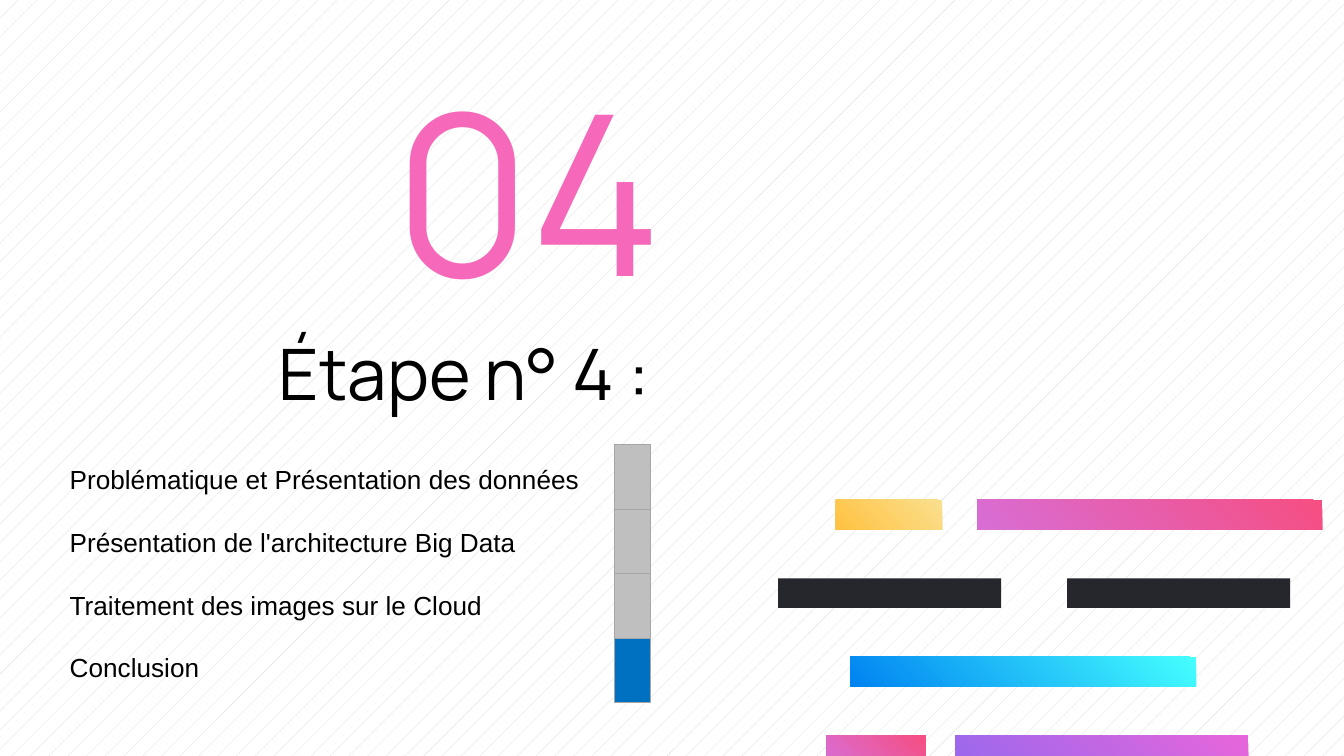
from dataclasses import dataclass

from pptx import Presentation
from pptx.dml.color import RGBColor
from pptx.enum.dml import MSO_PATTERN
from pptx.enum.shapes import MSO_SHAPE
from pptx.enum.text import MSO_ANCHOR, PP_ALIGN
from pptx.util import Inches, Pt

RECT = MSO_SHAPE.RECTANGLE
DOTS = MSO_PATTERN.PERCENT_5
TOP, BOTTOM = MSO_ANCHOR.TOP, MSO_ANCHOR.BOTTOM
LEFT, RIGHT = PP_ALIGN.LEFT, PP_ALIGN.RIGHT


@dataclass(frozen=True)
class Theme:
    paper: str = "FFFFFF"
    pattern: str = "D9D9D9"
    text: str = "000000"
    number: str = "F668B9"
    dark: tuple = ("25272D",)
    pink: tuple = ("F64E81", "D86ED5")
    cyan: tuple = ("45FFFF", "0083F1")
    gold: tuple = ("FAE08F", "FFC241")
    violet: tuple = ("E766DB", "9B68ED")
    step: tuple = ("BFBFBF",)
    active: tuple = ("0070C0",)
    edge: str = "A6A6A6"
    display: str = "Manrope"
    body: str = "Arial"
    number_size: int = 120
    title_size: int = 38
    body_size: int = 14


def add_bar(shapes, box, colors):
    sp = shapes.add_shape(RECT, *map(Inches, box))
    sp.shadow.inherit = False
    sp.line.fill.background()
    if len(colors) == 1:
        sp.fill.solid()
        sp.fill.fore_color.rgb = RGBColor.from_string(colors[0])
    else:
        sp.fill.gradient()
        sp.fill.gradient_angle = 225
        for stop, color in zip(sp.fill.gradient_stops, colors):
            stop.color.rgb = RGBColor.from_string(color)
    return sp


def add_text(box, lines, font, color, frame, para):
    tf = s.shapes.add_textbox(*map(Inches, box)).text_frame
    tf.word_wrap = True
    for name, value in frame.items():
        setattr(tf, name, value)
    for i, line in enumerate(lines):
        p = tf.add_paragraph() if i else tf.paragraphs[0]
        for name, value in para.items():
            if i or name != "space_before":
                setattr(p, name, value)
        r = p.add_run()
        r.text = line
        for name, value in font.items():
            setattr(r.font, name, value)
        r.font.color.rgb = RGBColor.from_string(color)


theme = Theme()
prs = Presentation()
prs.slide_width, prs.slide_height = Inches(10), Inches(10) * 9 // 16
s = prs.slides.add_slide(prs.slide_layouts[6])

bg = s.background.fill
bg.patterned()
bg.pattern = DOTS
bg.fore_color.rgb = RGBColor.from_string(theme.pattern)
bg.back_color.rgb = RGBColor.from_string(theme.paper)

bar_rows = [
    [(6.22, 0.79, theme.gold), (7.27, 2.57, theme.pink)],
    [(5.79, 1.66, theme.dark), (7.94, 1.66, theme.dark)],
    [(6.33, 2.57, theme.cyan)],
    [(6.15, 0.74, theme.pink), (7.11, 2.18, theme.violet)],
]
for row, bars in enumerate(bar_rows):
    for left, width, colors in bars:
        add_bar(s.shapes, (left, 3.72 + row * 1.75 / 3, width, 0.22), colors)

add_text((0.83, 2.4, 4.21, 2.05), ["Étape n° 4 :"],
         {"name": theme.display, "size": Pt(theme.title_size)}, theme.text,
         {"vertical_anchor": TOP, "margin_top": Inches(0.05), "margin_right": Inches(0.2)},
         {"alignment": RIGHT})
add_text((0.82, 0.6, 4.21, 1.9), ["04"],
         {"name": theme.display, "size": Pt(theme.number_size)}, theme.number,
         {"vertical_anchor": BOTTOM, "margin_top": 0, "margin_bottom": Inches(0.12)},
         {"alignment": RIGHT, "line_spacing": 0.8})

steps = s.shapes.add_group_shape()
for i, colors in enumerate([theme.step] * 3 + [theme.active]):
    sp = add_bar(steps.shapes, (4.57, 3.31 + i * 0.48, 0.27, 0.48), colors)
    sp.line.color.rgb = RGBColor.from_string(theme.edge)
    sp.line.width = Pt(0.5)

agenda = [
    "Problématique et Présentation des données",
    "Présentation de l'architecture Big Data",
    "Traitement des images sur le Cloud",
    "Conclusion",
]
add_text((0.42, 3.4, 4.08, 1.75), agenda,
         {"name": theme.body, "size": Pt(theme.body_size)}, theme.text,
         {"vertical_anchor": TOP}, {"alignment": LEFT, "space_before": Pt(16.8)})

prs.save("out.pptx")
